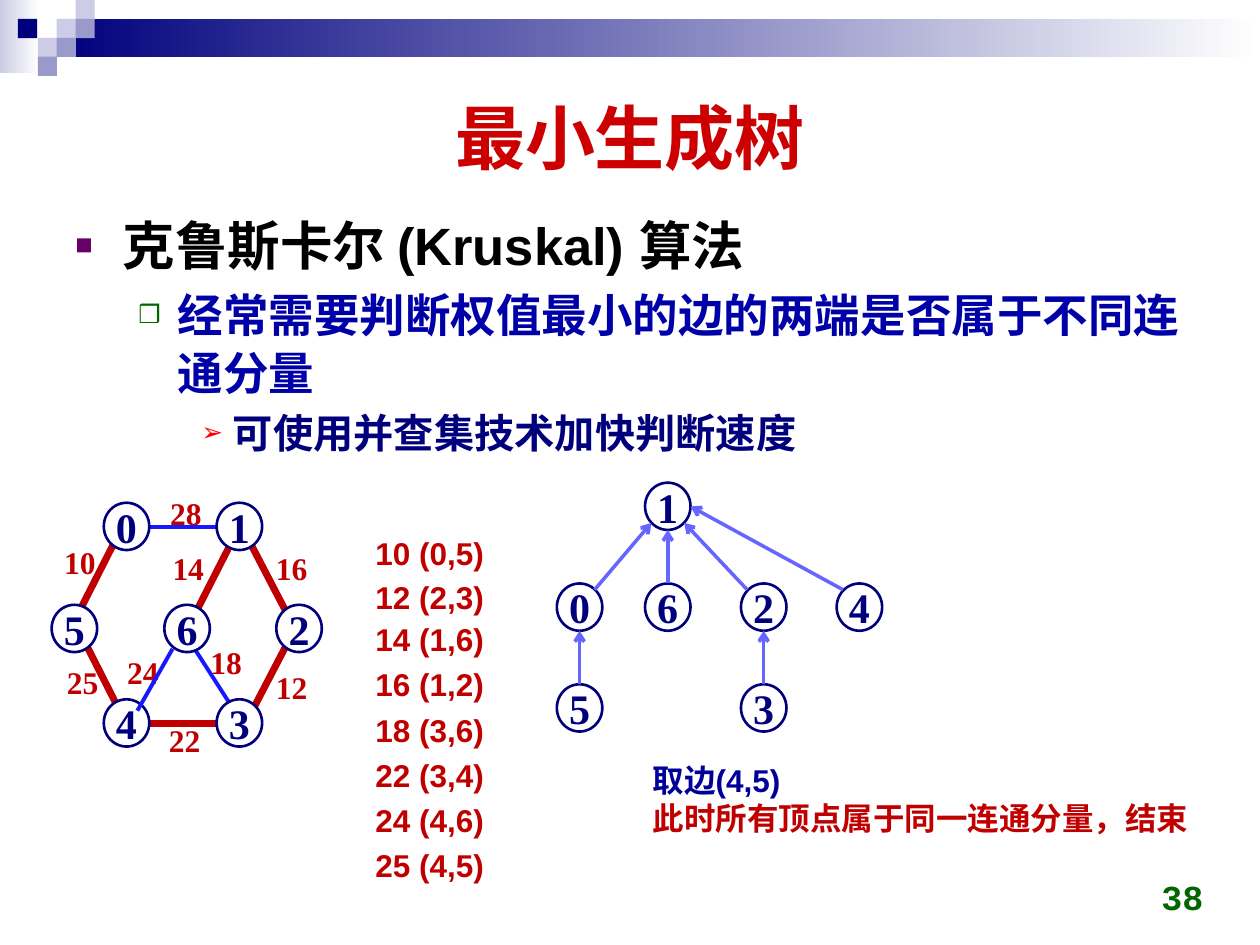
"""Build the slide on Kruskal's algorithm with its graph and union tree."""
import pptx
import pptx.dml.color
import pptx.enum.dml
import pptx.enum.shapes
import pptx.enum.text
import pptx.oxml
import pptx.oxml.ns
import pptx.util

Pt = pptx.util.Pt
RGB = pptx.dml.color.RGBColor
Align = pptx.enum.text.PP_ALIGN
Anchor = pptx.enum.text.MSO_ANCHOR
Kind = pptx.enum.shapes.MSO_SHAPE
NAVY = RGB(0x00, 0x00, 0x7D)
PALE = RGB(0xCC, 0xCC, 0xE6)
LILAC = RGB(0x99, 0x99, 0xCC)
WHITE = RGB(0xFF, 0xFF, 0xFF)
BLACK = RGB(0x00, 0x00, 0x00)
TITLE = RGB(0xCC, 0x00, 0x00)
RED = RGB(0xC0, 0x00, 0x00)
BLUE = RGB(0x18, 0x18, 0xFF)
ARROW = RGB(0x65, 0x65, 0xFF)
ROYAL = RGB(0x00, 0x00, 0xA8)
INK = RGB(0x00, 0x00, 0x99)
GREEN = RGB(0x00, 0x66, 0x00)
SERIF = "Times New Roman"
SPACE = 'xmlns:a="http://schemas.openxmlformats.org/drawingml/2006/main"'

deck = pptx.Presentation()
deck.slide_width, deck.slide_height = Pt(720), Pt(540)
slide = deck.slides.add_slide(deck.slide_layouts[6])
shapes = slide.shapes


def write(par, text, size, color, face="Arial", align=Align.LEFT):
    """Add one bold run to a paragraph."""
    par.alignment = align
    run = par.add_run()
    run.text = text
    run.font.size, run.font.bold, run.font.name = Pt(size), True, face
    run.font.color.rgb = color


def link(ends, color, width, head=False):
    """Draw a straight line, with an arrowhead at its end if wanted."""
    line = shapes.add_connector(pptx.enum.shapes.MSO_CONNECTOR.STRAIGHT, *map(Pt, ends))
    line.line.color.rgb, line.line.width = color, Pt(width)
    if head:
        line.line._get_or_add_ln().append(pptx.oxml.parse_xml(f'<a:tailEnd {SPACE} type="arrow"/>'))
    line._element.spPr.append(pptx.oxml.parse_xml(f"<a:effectLst {SPACE}/>"))


bars = [(0, 0, 22.5, 42, PALE, True), (32.4, 10.8, 687.6, 21.6, NAVY, True)]
tiles = [(32.4, 10.8, PALE), (43.2, 0, PALE), (43.2, 10.8, LILAC), (21.6, 21.6, PALE),
         (10.3, 10.8, NAVY), (32.4, 21.6, LILAC), (21.6, 32.4, LILAC)]
for x, y, w, h, color, fade in bars + [(x, y, 11, 11, c, False) for x, y, c in tiles]:
    bar = shapes.add_shape(Kind.RECTANGLE, Pt(x), Pt(y), Pt(w), Pt(h))
    bar.shadow.inherit = False
    bar.line.fill.background()
    if fade:
        bar.fill.gradient()
        bar.fill.gradient_angle = 0
        for stop, tone in zip(bar.fill.gradient_stops, (color, WHITE)):
            stop.color.rgb = tone
    else:
        bar.fill.solid()
        bar.fill.fore_color.rgb = color

body = shapes.add_textbox(Pt(36), Pt(116.6), Pt(648), Pt(374.4)).text_frame
body.word_wrap = True
points = [
    ("克鲁斯卡尔 (Kruskal) 算法", 30, BLACK, 27, 27, "■", "660066", 55),
    ("经常需要判断权值最小的边的两端是否属于不同连通分量", 26, ROYAL, 58.5, 22.5, "❒", "006600", 55),
    ("可使用并查集技术加快判断速度", 23, NAVY, 90, 18, "➢", "FF0000", 65),
]
for i, (text, size, color, left, hang, mark, tone, scale) in enumerate(points):
    par = body.add_paragraph() if i else body.paragraphs[0]
    write(par, text, size, color)
    par.level, par.line_spacing, par.space_before = i, 1.05, Pt(round(size * 0.18, 1))
    props = par._p.get_or_add_pPr()
    props.set("marL", str(Pt(left)))
    props.set("indent", str(-Pt(hang)))
    for tag in (f'<a:buClr {SPACE}><a:srgbClr val="{tone}"/></a:buClr>',
                f'<a:buSzPct {SPACE} val="{scale * 1000}"/>',
                f'<a:buFont {SPACE} typeface="Arial"/>',
                f'<a:buChar {SPACE} char="{mark}"/>'):
        props.append(pptx.oxml.parse_xml(tag))

texts = [
    (36, 36, 648, 83.5, "最小生成树", 40, TITLE, "Arial", Align.CENTER, Anchor.MIDDLE, True),
    (527, 491.8, 167.8, 36, "38", 20, GREEN, "Courier New", Align.RIGHT, Anchor.BOTTOM, True),
]
steps = [(301.7, "10 (0,5)"), (327, "12 (2,3)"), (350.8, "14 (1,6)"), (376.6, "16 (1,2)"),
         (402.5, "18 (3,6)"), (428.4, "22 (3,4)"), (454.3, "24 (4,6)"), (479.8, "25 (4,5)")]
for y, text in steps:
    texts.append((207.4, y, 77, 29, text, 18, RED, "Arial", Align.LEFT, Anchor.TOP, False))
costs = [("28", 90, 278.6), ("25", 31, 375.1), ("22", 89.3, 408.2), ("10", 29.5, 306.7),
         ("14", 91.4, 310.3), ("24", 65.5, 369.4), ("16", 150.5, 310.3), ("18", 113, 363.6),
         ("12", 150.5, 378)]
for text, x, y in costs:
    texts.append((x, y, 32.4, 29, text, 18, RED, SERIF, Align.CENTER, Anchor.TOP, False))
for x, y, w, h, text, size, color, face, align, anchor, wrap in texts:
    frame = shapes.add_textbox(Pt(x), Pt(y), Pt(w), Pt(h)).text_frame
    frame.word_wrap, frame.vertical_anchor = wrap, anchor
    write(frame.paragraphs[0], text, size, color, face, align)

note = shapes.add_textbox(Pt(365.8), Pt(431.3), Pt(325.4), Pt(51)).text_frame
note.word_wrap = False
write(note.paragraphs[0], "取边(4,5)", 18, INK)
write(note.add_paragraph(), "此时所有顶点属于同一连通分量，结束", 18, RED)

for ends in [(76.3, 301, 140.4, 301), (132.5, 403.9, 106.6, 363.6)]:
    link(ends, BLUE, 2.25)
for ends in [(76.3, 413.3, 140.4, 413.3), (166.3, 363.6, 140.4, 413.3),
             (140.4, 305.3, 166.3, 355), (113, 347.8, 136.8, 301),
             (46.8, 363.6, 72, 413.3), (67.7, 305.3, 42.5, 355)]:
    link(ends, RED, 4)

graph = [("5", 29.5, 345.6), ("0", 59.3, 287.3), ("4", 59.3, 399.6), ("6", 93.9, 345.6),
         ("1", 123.8, 287.3), ("3", 123.8, 399.6), ("2", 157.9, 345.6)]
tree = [("6", 368.6, 333.4), ("1", 368.6, 275.8), ("4", 478.1, 333.4), ("5", 318.2, 391),
        ("0", 318.2, 333.4), ("3", 423.4, 391), ("2", 423.4, 333.4)]
for text, x, y in graph + tree:
    node = shapes.add_shape(Kind.OVAL, Pt(x), Pt(y), Pt(26), Pt(27))
    node.shadow.inherit = False
    node.fill.solid()
    node.fill.fore_color.rgb = WHITE
    node.line.color.rgb, node.line.width = NAVY, Pt(1.5)
    frame = node.text_frame
    frame.word_wrap, frame.vertical_anchor = False, Anchor.MIDDLE
    frame.margin_left = frame.margin_right = Pt(5.8)
    frame.margin_top = frame.margin_bottom = Pt(4.3)
    write(frame.paragraphs[0], text, 24, NAVY, SERIF, Align.CENTER)

link((78.5, 406.1, 98.6, 370.8), BLUE, 2.25)
for ends in [(331.2, 391, 331.2, 360.4), (436.4, 391, 436.4, 360.4), (381.6, 333.4, 381.6, 302.8),
             (427, 337, 391, 298.8), (481.7, 337, 394.6, 289.4), (339.8, 337, 372.2, 298.8)]:
    link(ends, ARROW, 2, True)

deck.save("out.pptx")
